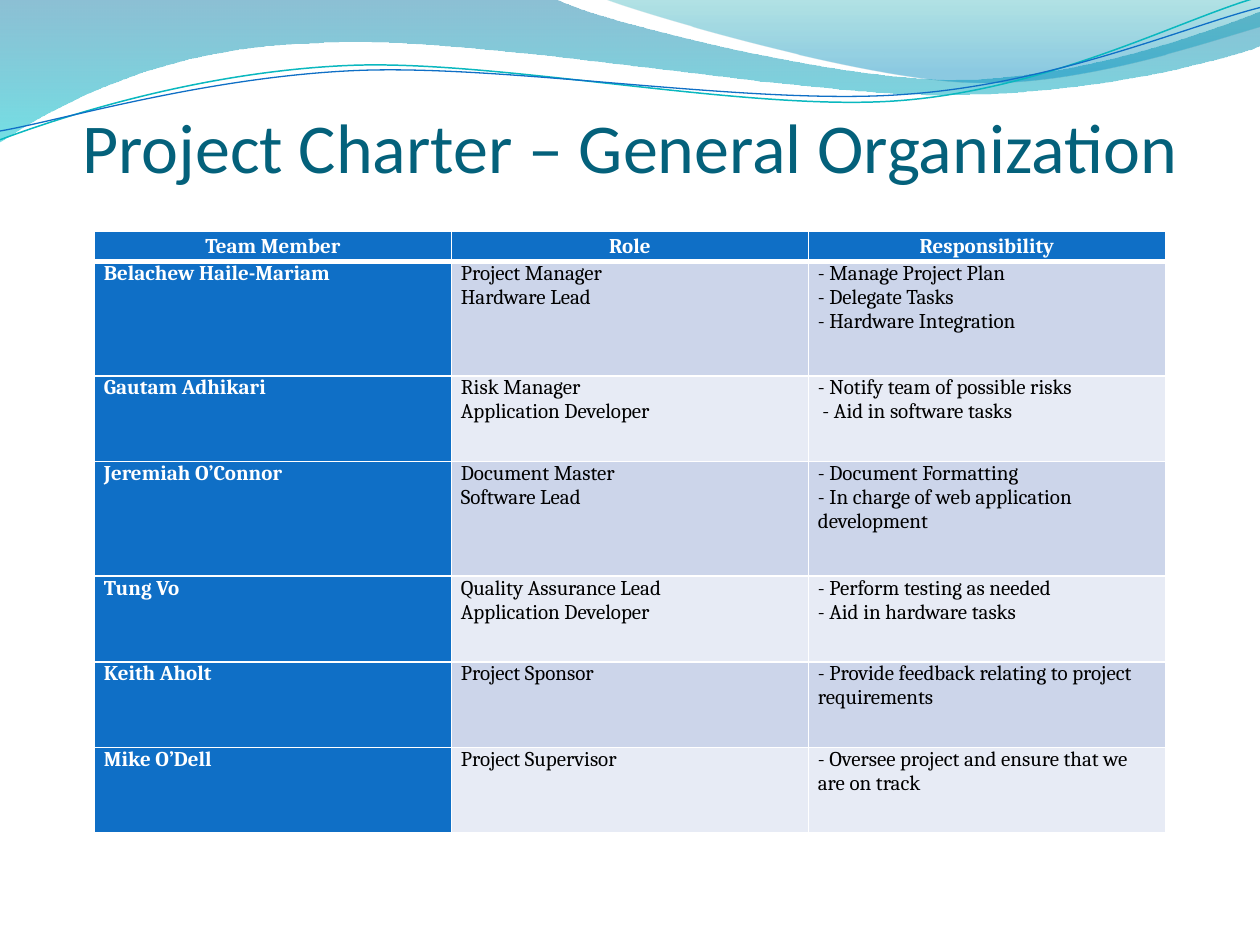
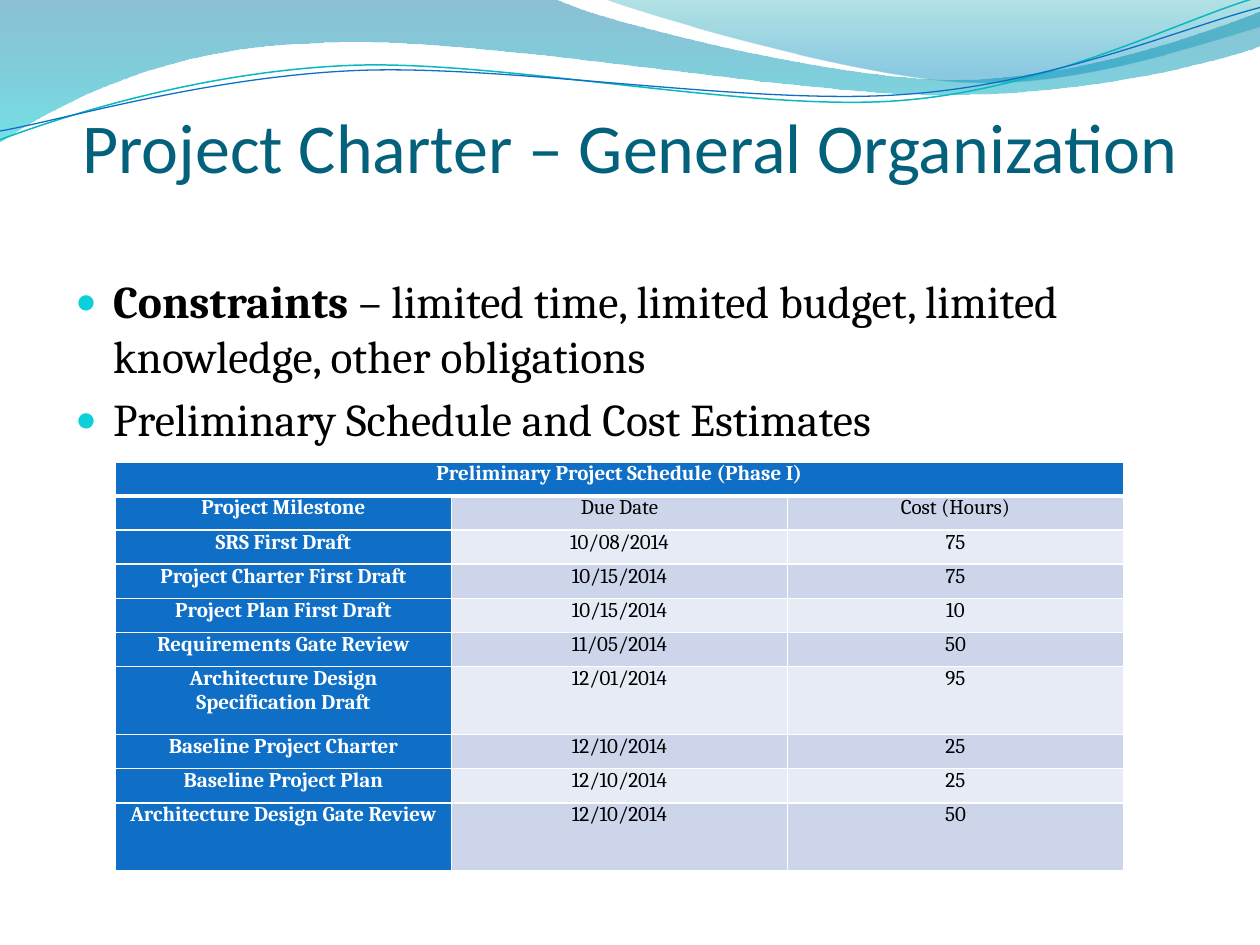
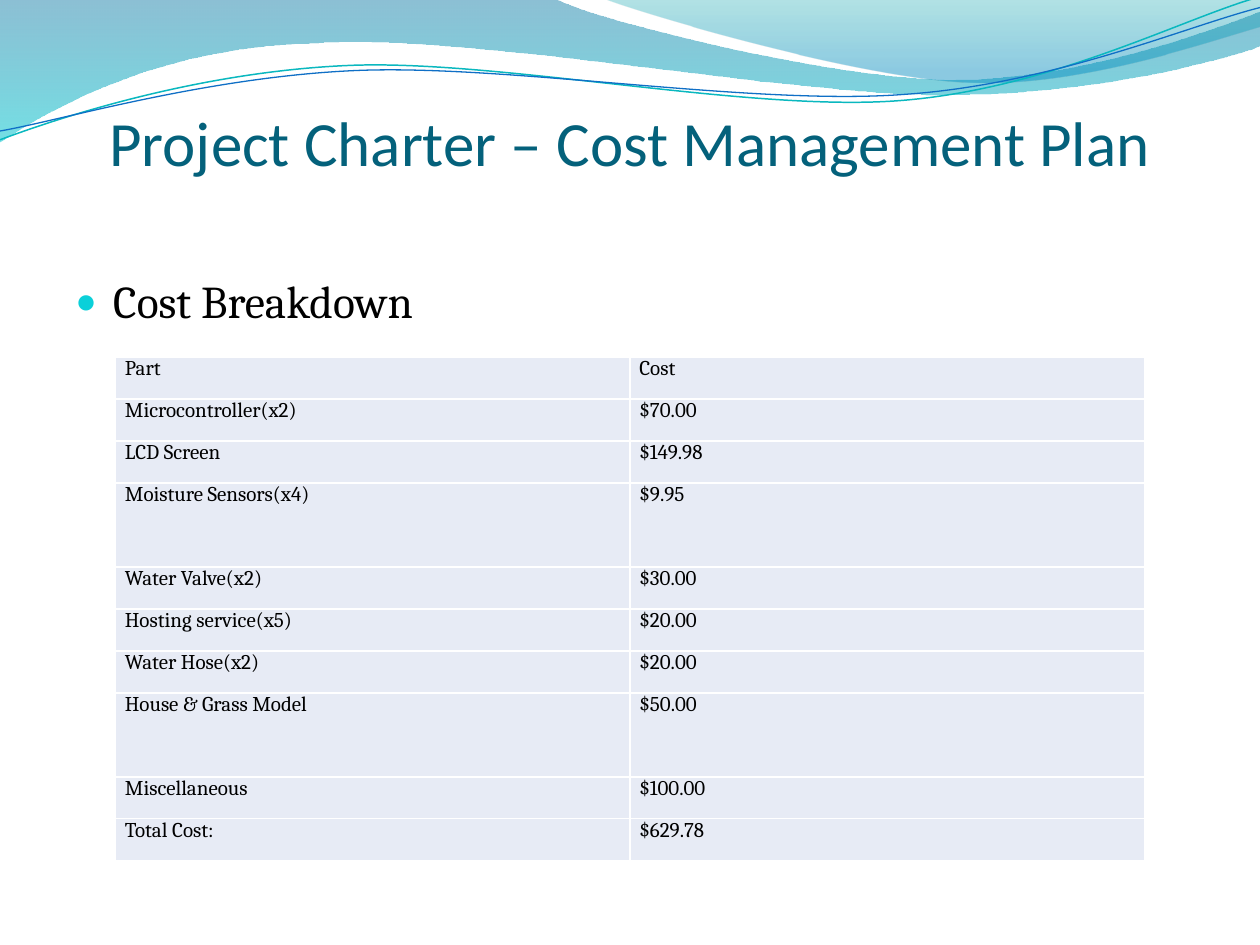
"""Build three project charter slides with a shared wave header, titles and tables."""
from lxml.etree import SubElement
from pptx import Presentation
from pptx.dml.color import RGBColor
from pptx.enum.text import MSO_ANCHOR, PP_ALIGN
from pptx.oxml.ns import qn
from pptx.util import Inches, Pt

COLORS = {
    "title": "04617B", "text": "000000", "white": "FFFFFF", "bullet": "0BD0D9",
    "header": "0F6FC6", "band_dark": "CCD5EA", "band_light": "E7EBF5",
    "teal_line": "0AB8BF", "blue_line": "0F6FC6",
    "wave_top": "0074A1", "wave_bottom": "00C6CF",
    "crest_top": "00A1A9", "crest_bottom": "008BBF",
}

WAVES = [
    {"start": (0, 0), "stops": [(0, "wave_top", 45), (1, "wave_bottom", 55)], "segments": [
        [(4.4, -0.01)],
        [(4.76, 0.17), (6.64, 0.63), (7.58, 0.63)],
        [(8.53, 0.63), (9.58, 0.26), (10, 0.09)],
        [(10.01, 0.36)],
        [(9.83, 0.44), (8.7, 0.76), (7.46, 0.75)],
        [(6.22, 0.75), (3.82, 0.28), (2.57, 0.34)],
        [(1.29, 0.36), (0.46, 0.83), (-0.01, 1.13)],
        [(0, 0)]]},
    {"start": (4.79, -0.01), "stops": [(0, "crest_top", 30), (0.8, "crest_bottom", 45)], "segments": [
        [(5.09, 0.11), (6.82, 0.62), (7.69, 0.65)],
        [(8.56, 0.69), (9.61, 0.32), (10, 0.21)],
        [(10, 0)],
        [(4.79, -0.01)]]},
    {"start": (0, 1.11), "line": ("teal_line", 0.85), "segments": [
        [(0.48, 0.93), (1.58, 0.57), (2.77, 0.52)],
        [(3.95, 0.47), (5.93, 0.89), (7.13, 0.8)],
        [(8.33, 0.71), (9.38, 0.15), (9.98, -0.02)]]},
    {"start": (0, 1.04), "line": ("blue_line", 0.75), "segments": [
        [(0.47, 0.96), (1.64, 0.61), (2.83, 0.56)],
        [(4.03, 0.51), (5.97, 0.84), (7.17, 0.75)],
        [(8.36, 0.67), (9.41, 0.21), (10, 0.06)]]},
]

TEAM = [
    ("Team Member", "Role", "Responsibility"),
    ("Belachew Haile-Mariam", "Project Manager\nHardware Lead",
     "- Manage Project Plan\n- Delegate Tasks\n- Hardware Integration"),
    ("Gautam Adhikari", "Risk Manager\nApplication Developer",
     "- Notify team of possible risks\n - Aid in software tasks"),
    ("Jeremiah O’Connor", "Document Master\nSoftware Lead",
     "- Document Formatting\n- In charge of web application development"),
    ("Tung Vo", "Quality Assurance Lead\nApplication Developer",
     "- Perform testing as needed\n- Aid in hardware tasks"),
    ("Keith Aholt", "Project Sponsor", "- Provide feedback relating to project requirements"),
    ("Mike O’Dell", "Project Supervisor", "- Oversee project and ensure that we are on track"),
]
SCHEDULE = [
    ("Preliminary Project Schedule (Phase I)",),
    ("Project Milestone", "Due Date", "Cost (Hours)"),
    ("SRS First Draft", "10/08/2014", "75"),
    ("Project Charter First Draft", "10/15/2014", "75"),
    ("Project Plan First Draft", "10/15/2014", "10"),
    ("Requirements Gate Review", "11/05/2014", "50"),
    ("Architecture Design\nSpecification Draft", "12/01/2014", "95"),
    ("Baseline Project Charter", "12/10/2014", "25"),
    ("Baseline Project Plan", "12/10/2014", "25"),
    ("Architecture Design Gate Review", "12/10/2014", "50"),
]
COSTS = [
    ("Part", "Cost"),
    ("Microcontroller(x2)", "$70.00"),
    ("LCD Screen", "$149.98"),
    ("Moisture Sensors(x4)", "$9.95"),
    ("Water Valve(x2)", "$30.00"),
    ("Hosting service(x5)", "$20.00"),
    ("Water Hose(x2)", "$20.00"),
    ("House & Grass Model", "$50.00"),
    ("Miscellaneous", "$100.00"),
    ("Total Cost:", "$629.78"),
]

SLIDES = [
    {"title": "Project Charter – General Organization", "title_size": 40, "bullets": [],
     "table": {"rows": TEAM, "at": (0.75, 11 / 6, 8.5, 4.78), "styled": True, "centered": False,
               "space": 6, "header_spacing": 1.15,
               "weights": [0.24, 0.91, 0.68, 0.91, 0.68, 0.68, 0.68]}},
    {"title": "Project Charter – General Organization", "title_size": 40,
     "bullets": [
         [("Constraints", True),
          (" – limited time, limited budget, limited knowledge, other obligations", False)],
         [("Preliminary Schedule and Cost Estimates", False)]],
     "table": {"rows": SCHEDULE, "at": (11 / 12, 11 / 3, 8, 3.25), "styled": True, "centered": True,
               "space": 6, "header_spacing": None,
               "weights": [1, 1, 1, 1, 1, 1, 2, 1, 1, 2]}},
    {"title": "Project Charter – Cost Management Plan", "title_size": 36,
     "bullets": [[("Cost Breakdown", False)]],
     "table": {"rows": COSTS, "at": (11 / 12, 17 / 6, 49 / 6, 4), "styled": False, "centered": False,
               "space": 0, "header_spacing": None,
               "weights": [1, 1, 1, 2, 1, 1, 1, 2, 1, 1]}},
]


def color(name):
    return RGBColor.from_string(COLORS[name])


def apply(target, values):
    for name, value in values.items():
        setattr(target, name, value)


def style_span(span, font, size, color_name, bold=False):
    apply(span.font, {"name": font, "size": Pt(size), "bold": bold})
    span.font.color.rgb = color(color_name)


def bend_segments(shape, segments):
    corners = iter(list(shape._element.iter(qn("a:lnTo"))))
    for segment in segments:
        steps = [next(corners) for _ in segment]
        if len(steps) == 3:
            outline = steps[0].getparent()
            curve = SubElement(outline, qn("a:cubicBezTo"))
            outline.replace(steps[0], curve)
            for step in steps:
                curve.append(step[0])
            for step in steps[1:]:
                outline.remove(step)


def add_wave(page, wave):
    points = [wave["start"], *sum(wave["segments"], [])]
    first, *rest = [(Inches(x), Inches(y)) for x, y in points]
    builder = page.shapes.build_freeform(*first, scale=1.0)
    builder.add_line_segments(rest, close="stops" in wave)
    shape = builder.convert_to_shape()
    bend_segments(shape, wave["segments"])
    shape.shadow.inherit = False
    if "line" in wave:
        name, width = wave["line"]
        shape.fill.background()
        shape.line.color.rgb = color(name)
        shape.line.width = Pt(width)
        return
    shape.line.fill.background()
    shape.fill.gradient()
    shape.fill.gradient_angle = 270
    for stop, (position, name, _) in zip(shape.fill.gradient_stops, wave["stops"]):
        stop.position = position
        stop.color.rgb = color(name)
    for tint, (_, _, opacity) in zip(shape._element.iter(qn("a:srgbClr")), wave["stops"]):
        SubElement(tint, qn("a:alpha"), val=str(opacity * 1000))


def add_text_box(page, left, top, width, height, **margins):
    box = page.shapes.add_textbox(Inches(left), Inches(top), Inches(width), Inches(height))
    apply(box.text_frame, {"word_wrap": True, "vertical_anchor": MSO_ANCHOR.TOP, **margins})
    return box.text_frame


def add_title(page, text, size):
    frame = add_text_box(page, 0.5, 0.77, 9, 1.25, margin_left=0, margin_right=0, margin_bottom=0)
    para = frame.paragraphs[0]
    para.alignment = PP_ALIGN.CENTER
    span = para.add_run()
    span.text = text
    style_span(span, "Calibri", size, "title")


def add_bullets(page, bullets):
    frame = add_text_box(page, 0.5, 2.12, 9, 4.8)
    for index, parts in enumerate(bullets):
        para = frame.add_paragraph() if index else frame.paragraphs[0]
        para.space_before = Pt(5.2)
        props = para._p.get_or_add_pPr()
        props.set("marL", str(Inches(0.3)))
        props.set("indent", str(-Inches(0.3)))
        SubElement(SubElement(props, qn("a:buClr")), qn("a:srgbClr"), val=COLORS["bullet"])
        SubElement(props, qn("a:buSzPct"), val="95000")
        SubElement(props, qn("a:buFont"), typeface="Calibri")
        SubElement(props, qn("a:buChar"), char="•")
        for text, bold in parts:
            span = para.add_run()
            span.text = text
            style_span(span, "Cambria", 26, "text", bold)


def add_borders(cell, widths):
    props = cell._tc.get_or_add_tcPr()
    for side, width in widths.items():
        line = SubElement(props, qn(f"a:ln{side}"), w=str(Pt(width)))
        SubElement(SubElement(line, qn("a:solidFill")), qn("a:srgbClr"), val=COLORS["white"])


def fill_cell(cell, text, row, column, table):
    styled = table["styled"]
    strong = styled and (row == 0 or column == 0)
    band = "band_dark" if styled and row % 2 else "band_light"
    add_borders(cell, {"L": 1, "R": 1, "T": 3 if styled and row == 1 else 1,
                       "B": 3 if styled and row == 0 else 1})
    cell.fill.solid()
    cell.fill.fore_color.rgb = color("header" if strong else band)
    apply(cell, {"margin_left": Pt(5.4), "margin_right": Pt(5.4),
                 "margin_top": 0, "margin_bottom": 0})
    para = cell.text_frame.paragraphs[0]
    centered = table["centered"] or (styled and row == 0)
    apply(para, {"text": text, "space_before": Pt(table["space"]),
                 "alignment": PP_ALIGN.CENTER if centered else PP_ALIGN.LEFT,
                 "line_spacing": table["header_spacing"] if row == 0 else None})
    for span in para.runs:
        style_span(span, "Cambria", 12, "white" if strong else "text", strong)
    for line_break in para._p.findall(qn("a:br")):
        SubElement(line_break, qn("a:rPr"), sz="1200")


def add_grid(page, table):
    rows, weights = table["rows"], table["weights"]
    left, top, width, height = table["at"]
    count = len(rows[-1])
    grid = page.shapes.add_table(len(rows), count, Inches(left), Inches(top),
                                 Inches(width), Inches(height)).table
    for column in grid.columns:
        column.width = Inches(width / count)
    for row, (texts, weight) in enumerate(zip(rows, weights)):
        grid.rows[row].height = Inches(height * weight / sum(weights))
        if len(texts) < count:
            grid.cell(row, 0).merge(grid.cell(row, count - 1))
        for column, text in enumerate(texts):
            fill_cell(grid.cell(row, column), text, row, column, table)


def main():
    deck = Presentation()
    apply(deck, {"slide_width": Inches(10), "slide_height": Inches(7.5)})
    for content in SLIDES:
        page = deck.slides.add_slide(deck.slide_layouts[6])
        for wave in WAVES:
            add_wave(page, wave)
        add_title(page, content["title"], content["title_size"])
        if content["bullets"]:
            add_bullets(page, content["bullets"])
        add_grid(page, content["table"])
    deck.save("out.pptx")


if __name__ == "__main__":
    main()
